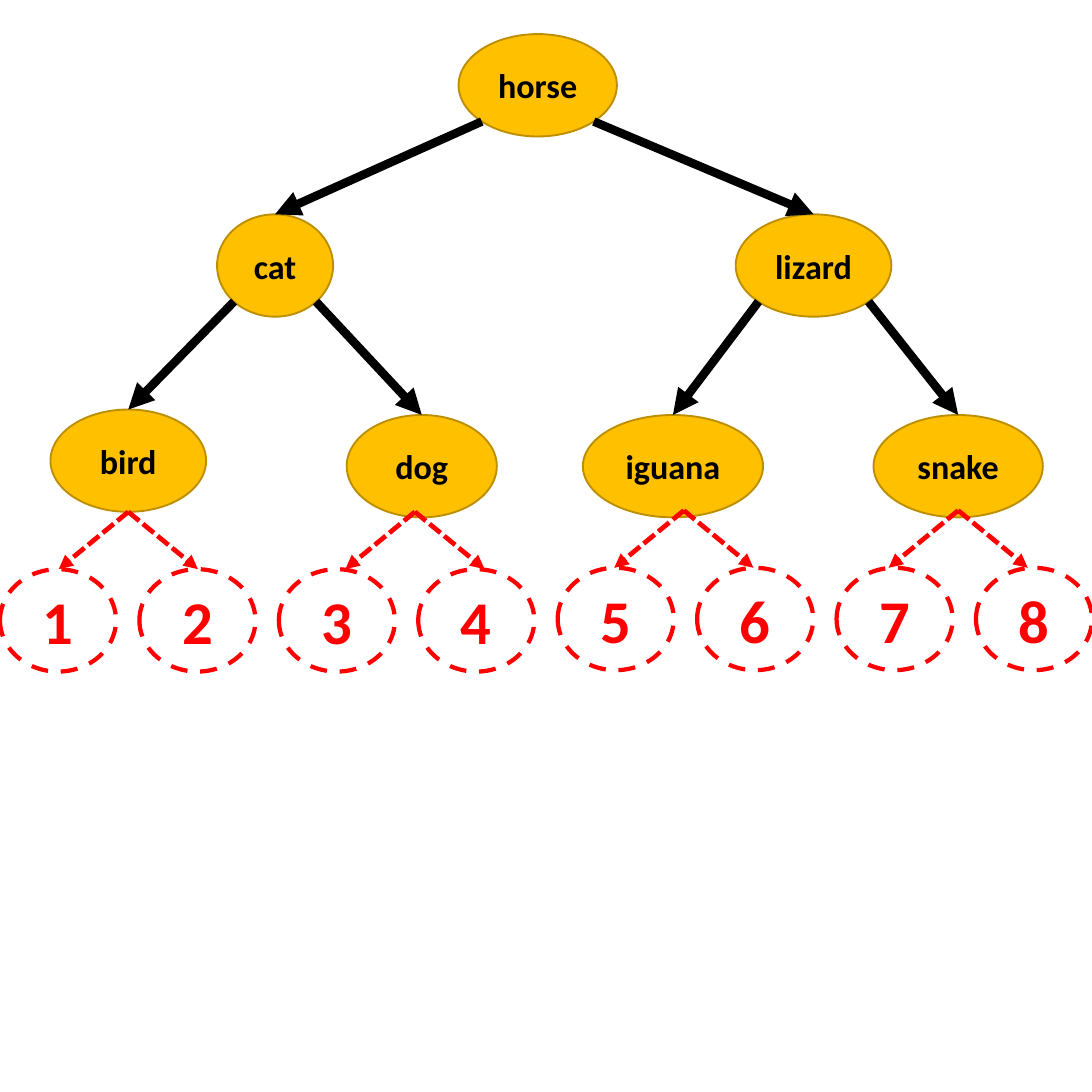
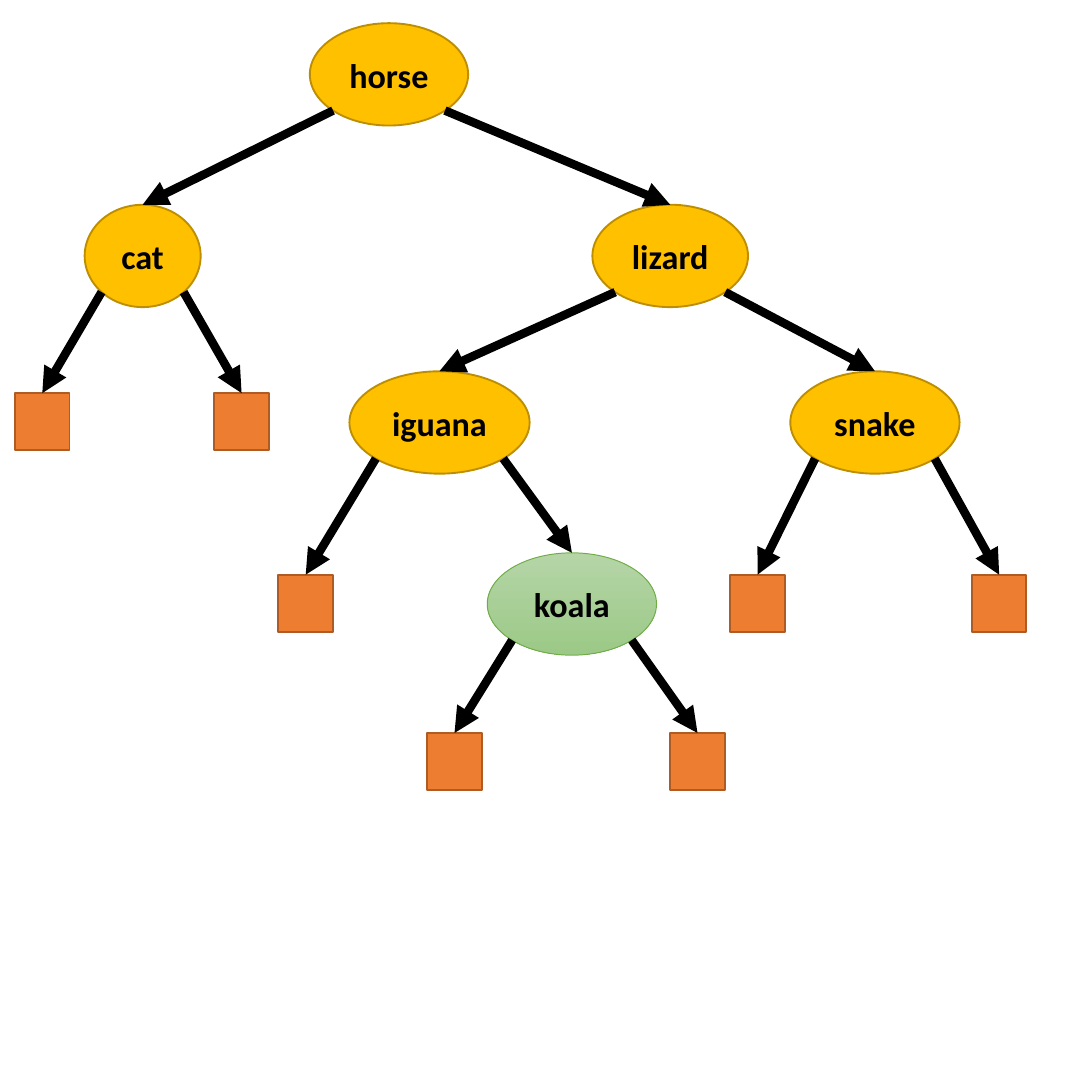
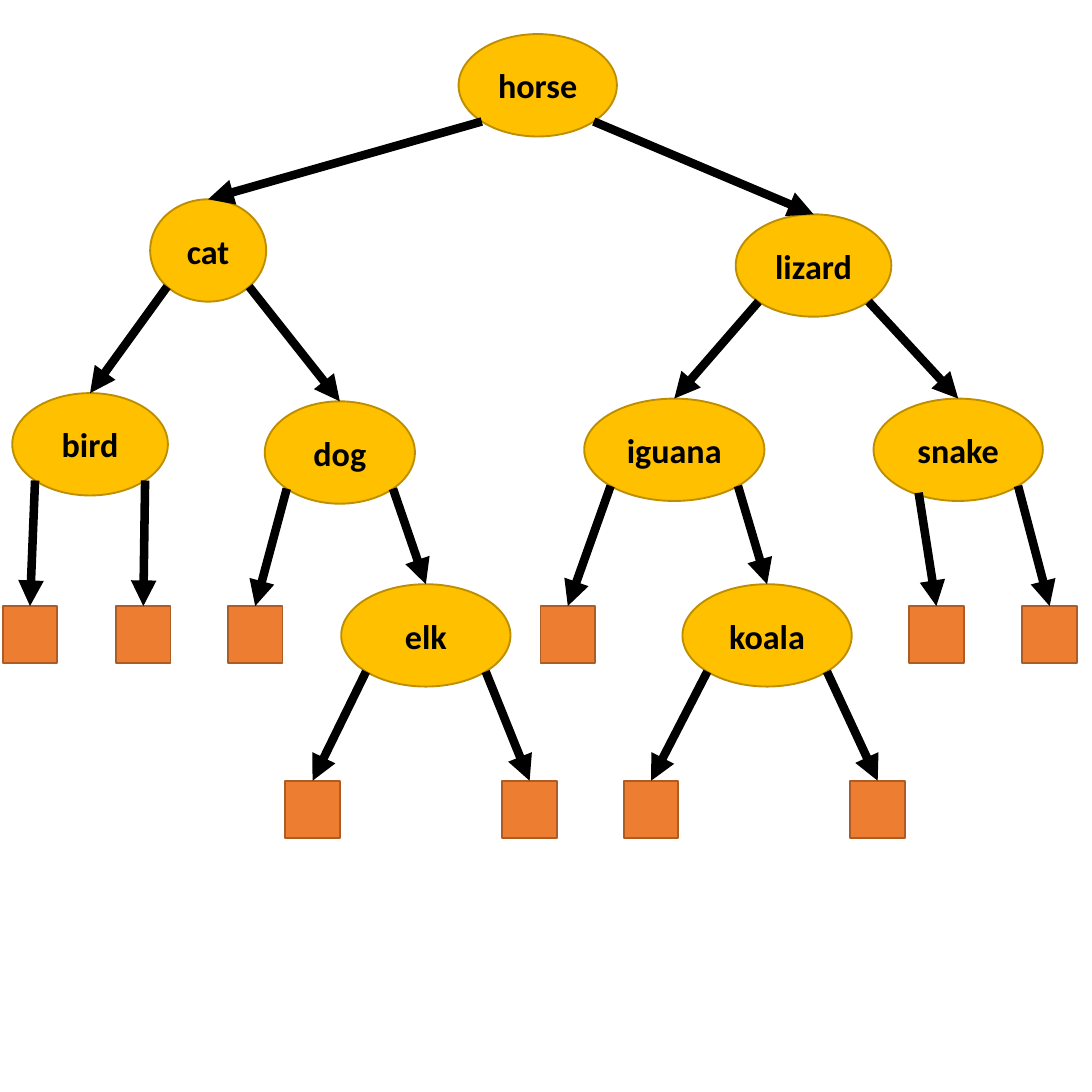
"""Build three slides of binary search trees of animal names."""
from dataclasses import dataclass
from math import sqrt

from lxml.etree import SubElement
from pptx import Presentation
from pptx.dml.color import RGBColor as RGB
from pptx.enum.dml import MSO_LINE as DASH
from pptx.enum.shapes import MSO_CONNECTOR as CONN, MSO_SHAPE as SHAPE
from pptx.enum.text import MSO_ANCHOR as ANCHOR, PP_ALIGN as ALIGN
from pptx.oxml.ns import qn
from pptx.util import Pt


@dataclass
class Node:
    label: str
    left: int
    top: int
    kids: tuple = ()
    start: tuple = None


def box(left, top, start=None):
    return Node("", left, top, start=start)


TREES = [
    Node("horse", 336, 25, (
        Node("cat", 159, 157, (Node("bird", 37, 300), Node("dog", 254, 304))),
        Node("lizard", 539, 157, (Node("iguana", 427, 304), Node("snake", 640, 304))),
    )),
    Node("horse", 227, 17, (
        Node("cat", 62, 150, (box(11, 288), box(157, 288))),
        Node("lizard", 434, 150, (
            Node("iguana", 256, 272, (
                box(204, 421),
                Node("koala", 357, 405, (box(313, 537), box(491, 537))),
            )),
            Node("snake", 579, 272, (box(535, 421), box(712, 421))),
        )),
    )),
    Node("horse", 336, 25, (
        Node("cat", 110, 146, (
            Node("bird", 9, 288, (box(2, 444), box(85, 444))),
            Node("dog", 194, 294, (
                box(167, 444),
                Node("elk", 250, 428, (box(209, 572), box(368, 572))),
            )),
        )),
        Node("lizard", 539, 157, (
            Node("iguana", 428, 292, (
                box(396, 444),
                Node("koala", 500, 428, (box(457, 572), box(623, 572))),
            )),
            Node("snake", 640, 292, (box(666, 444, start=(673, 361)), box(749, 444))),
        )),
    )),
]
INSERTED = (1, "koala")
FORKS = [(94, 375), (304, 375), (501, 374), (702, 374)]
FORK_REACH, FORK_DROP = 51, 42

SCALE = 9144
SIDE = 800
NODE_H, BOX_W, BOX_H, SLOT_W = 75, 40, 42, 85
WIDTHS = {"horse": 116, "cat": 85, "lizard": 114, "bird": 114, "iguana": 132,
          "snake": 124, "dog": 110, "koala": 124, "elk": 124}

THEME = {
    "font": "Calibri",
    "node": {"fill": ["FFC000"], "line": ("BD8E00", 1, None), "text": ("000000", 18)},
    "new": {"fill": ["B5D5A7", "9CC987"], "line": ("70AD47", 0.5, None), "text": ("000000", 18)},
    "box": {"fill": ["ED7D31"], "line": ("AF5C24", 1, None), "text": None},
    "slot": {"fill": [], "line": ("FF0000", 2.25, DASH.DASH), "text": ("FF0000", 32)},
    "edge": ("000000", 4.5, None),
    "fork": ("FF0000", 2.5, DASH.SQUARE_DOT),
}


def px(*values):
    return [round(v * SCALE) for v in values]


def assign(obj, **values):
    for name, value in values.items():
        setattr(obj, name, value)


def set_line(line, color, width, dash):
    line.fill.solid()
    line.fill.fore_color.rgb = RGB.from_string(color)
    assign(line, width=Pt(width), dash_style=dash)


def set_fill(fill, colors):
    if not colors:
        fill.background()
    elif len(colors) == 1:
        fill.solid()
        fill.fore_color.rgb = RGB.from_string(colors[0])
    else:
        fill.gradient()
        fill.gradient_angle = 270
        for stop, color in zip(fill.gradient_stops, colors):
            stop.color.rgb = RGB.from_string(color)


def add_figure(slide, kind, bounds, style, text=""):
    sp = slide.shapes.add_shape(kind, *px(*bounds))
    sp.shadow.inherit = False
    set_fill(sp.fill, style["fill"])
    set_line(sp.line, *style["line"])
    if text:
        color, size = style["text"]
        tf = sp.text_frame
        assign(tf, word_wrap=True, vertical_anchor=ANCHOR.MIDDLE, margin_left=0,
               margin_right=0, margin_top=0, margin_bottom=0)
        p = tf.paragraphs[0]
        p.alignment = ALIGN.CENTER
        r = p.add_run()
        r.text = text
        assign(r.font, name=THEME["font"], size=Pt(size), bold=True)
        r.font.color.rgb = RGB.from_string(color)


def add_arrow(slide, start, end, style):
    cx = slide.shapes.add_connector(CONN.STRAIGHT, *px(*start, *end))
    set_line(cx.line, *style)
    pr = cx._element.spPr
    SubElement(pr.find(qn("a:ln")), qn("a:tailEnd"), type="triangle")
    SubElement(pr, qn("a:effectLst"))


def walk(node):
    yield node
    for kid in node.kids:
        yield from walk(kid)


def center_x(node):
    return node.left + WIDTHS.get(node.label, BOX_W) / 2


def draw_tree(slide, index, root):
    nodes = list(walk(root))
    for node in nodes:
        if node.label:
            style = THEME["new" if (index, node.label) == INSERTED else "node"]
            bounds = node.left, node.top, WIDTHS[node.label], NODE_H
            add_figure(slide, SHAPE.OVAL, bounds, style, node.label)
        else:
            add_figure(slide, SHAPE.RECTANGLE, (node.left, node.top, BOX_W, BOX_H), THEME["box"])
    for node in nodes:
        for side, kid in zip((-1, 1), node.kids):
            corner = (center_x(node) + side * WIDTHS[node.label] / sqrt(8),
                      node.top + NODE_H / 2 + NODE_H / sqrt(8))
            add_arrow(slide, kid.start or corner, (center_x(kid), kid.top), THEME["edge"])


def draw_slots(slide):
    step = (SIDE - SLOT_W) / (2 * len(FORKS) - 1)
    for i, (x, y) in enumerate(FORKS):
        for j, side in enumerate((-1, 1)):
            n = 2 * i + j
            top = y + FORK_DROP
            add_figure(slide, SHAPE.OVAL, (n * step, top, SLOT_W, NODE_H), THEME["slot"], str(n + 1))
            add_arrow(slide, (x, y), (x + side * FORK_REACH, top), THEME["fork"])


def main():
    prs = Presentation()
    prs.slide_width, prs.slide_height = px(SIDE, SIDE)
    slides = [prs.slides.add_slide(prs.slide_layouts[6]) for _ in TREES]
    for i, (slide, root) in enumerate(zip(slides, TREES)):
        draw_tree(slide, i, root)
    draw_slots(slides[0])
    prs.save("out.pptx")


if __name__ == "__main__":
    main()
